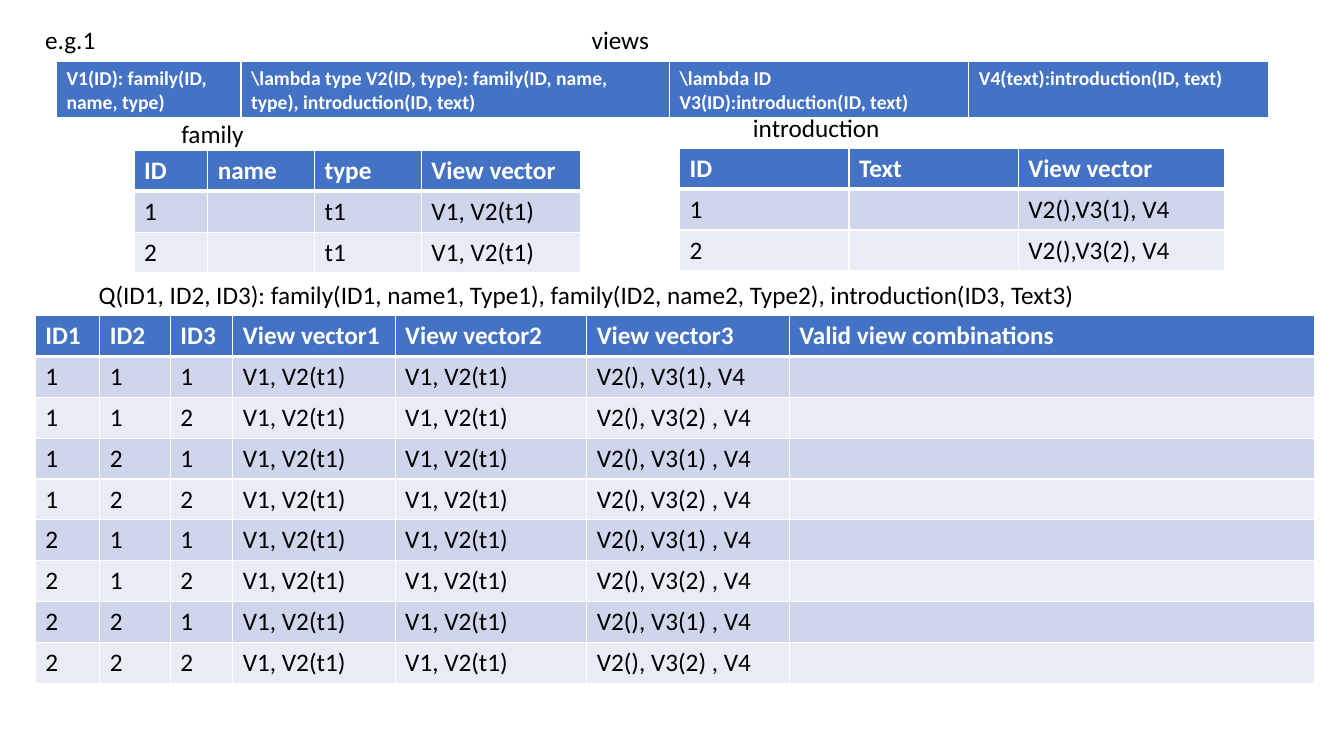
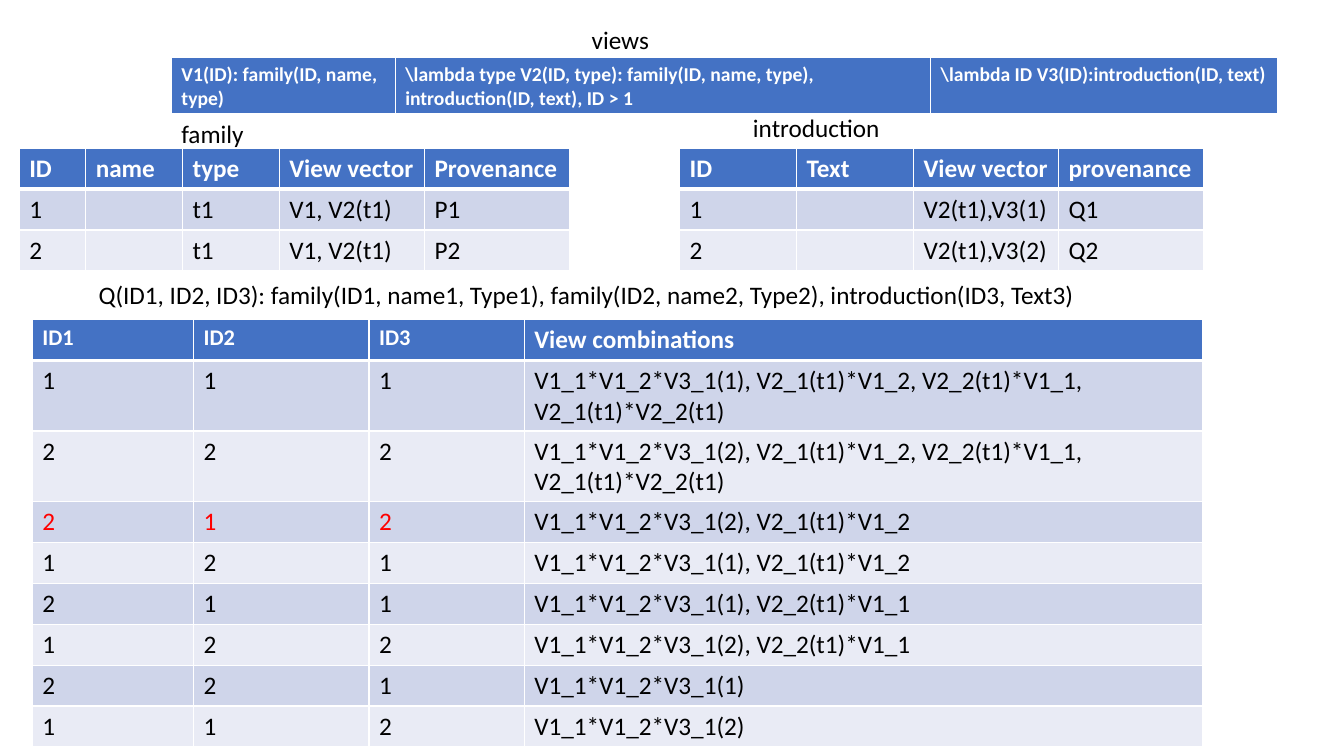
from dataclasses import dataclass
from itertools import product

from lxml.etree import SubElement
from pptx import Presentation
from pptx.dml.color import RGBColor as RGB
from pptx.enum.text import MSO_AUTO_SIZE as AutoSize
from pptx.oxml.ns import qn
from pptx.util import Inches, Pt


@dataclass(frozen=True)
class Theme:
    """Colours, font and type sizes shared by the slides."""
    header: str = "4472C4"
    bands: tuple = ("CFD5EA", "E9EBF5")
    white: str = "FFFFFF"
    ink: str = "000000"
    accent: str = "FF0000"
    font: str = "Calibri"
    body: int = 18
    small: int = 16
    view: int = 14
    rule: int = 1
    header_rule: int = 3


T = Theme()
QUERY = ("Q(ID1, ID2, ID3): family(ID1, name1, Type1), "
         "family(ID2, name2, Type2), introduction(ID3, Text3)")
LABELS = [
    ("family", (1.7, 1.12, 1.97, 0.4)),
    ("introduction", (7.37, 1.07, 1.97, 0.4)),
    (QUERY, (0.88, 2.72, 11.4, 0.4)),
    ("views", (5.77, 0.19, 2.75, 0.4)),
]
V1 = "V1(ID): family(ID, name, type)"
V2 = r"\lambda type V2(ID, type): family(ID, name, type), introduction(ID, text)"
V3 = r"\lambda ID V3(ID):introduction(ID, text)"
V4 = "V4(text):introduction(ID, text)"
FAMILY_VECTOR = "V1, V2(t1)"


def write(tf, text, size, color, bold=False):
    """Write one run of text in the theme font."""
    r = tf.paragraphs[0].add_run()
    r.text = text
    style = {"name": T.font, "size": Pt(size), "bold": bold}
    for name, value in style.items():
        setattr(r.font, name, value)
    r.font.color.rgb = RGB.from_string(color)


def add_label(slide, text, box):
    """Place a caption in the given box."""
    tf = slide.shapes.add_textbox(*map(Inches, box)).text_frame
    tf.word_wrap = True
    tf.auto_size = AutoSize.SHAPE_TO_FIT_TEXT
    write(tf, text, T.body, T.ink)


def add_captions(slide):
    """Place the captions common to both examples above the tables."""
    for text, box in LABELS:
        add_label(slide, text, box)


def set_borders(cell, top, bottom):
    """Draw white rules around a cell; widths are in points."""
    props = cell._tc.get_or_add_tcPr()
    widths = {"lnL": T.rule, "lnR": T.rule, "lnT": top, "lnB": bottom}
    for tag, width in widths.items():
        ln = SubElement(props, qn(f"a:{tag}"), w=str(Pt(width)))
        fill = SubElement(ln, qn("a:solidFill"))
        SubElement(fill, qn("a:srgbClr"), val=T.white)


def add_grid(slide, box, cols, rows, header_sizes=None, red_cells=()):
    """Place a table with a header row and alternating bands in the box."""
    table = slide.shapes.add_table(len(rows), len(cols), *map(Inches, box)).table
    sizes = header_sizes or [T.body] * len(cols)
    for column, width in zip(table.columns, cols):
        column.width = Inches(width)
    for i, row in enumerate(rows):
        table.rows[i].height = Inches(box[3] / len(rows))
        for j, text in enumerate(row):
            cell = table.cell(i, j)
            is_header = i == 0
            set_borders(cell, T.header_rule if i == 1 else T.rule,
                        T.header_rule if is_header else T.rule)
            cell.fill.solid()
            cell.fill.fore_color.rgb = RGB.from_string(
                T.header if is_header else T.bands[(i - 1) % 2])
            if not text:
                continue
            if is_header:
                write(cell.text_frame, text, sizes[j], T.white, True)
            else:
                color = T.accent if (i, j) in red_cells else T.ink
                write(cell.text_frame, text, T.body, color)


def add_views(slide, box, cols, views):
    """Place the one-row strip of view definitions."""
    add_grid(slide, box, cols, [views], [T.view] * len(cols))


def vector_slide(prs):
    """Build the example that lists view vectors for every ID combination."""
    slide = prs.slides.add_slide(prs.slide_layouts[6])
    add_views(slide, (0.56, 0.61, 12.02, 0.56), (1.83, 4.25, 2.97, 2.97),
              (V1, V2, V3, V4))
    add_grid(slide, (1.33, 1.49, 4.44, 1.22), (0.73, 1.06, 1.06, 1.58),
             [("ID", "name", "type", "View vector")]
             + [(n, "", "t1", FAMILY_VECTOR) for n in "12"])
    add_grid(slide, (6.74, 1.47, 5.41, 1.22), (1.68, 1.68, 2.05),
             [("ID", "Text", "View vector")]
             + [(n, "", f"V2(),V3({n}), V4") for n in "12"])

    rows = [("ID1", "ID2", "ID3", "View vector1", "View vector2",
             "View vector3", "Valid view combinations")]
    for k, ids in enumerate(product("12", repeat=3)):
        comma = " , " if k else ", "
        rows.append((*ids, FAMILY_VECTOR, FAMILY_VECTOR,
                     f"V2(), V3({ids[2]}){comma}V4", ""))
    add_grid(slide, (0.35, 3.13, 12.69, 3.65),
             (0.64, 0.7, 0.62, 1.61, 1.9, 2.01, 5.21), rows)
    add_captions(slide)
    add_label(slide, "e.g.1", (0.35, 0.19, 1.35, 0.4))


def combination_slide(prs):
    """Build the example that lists view combinations with provenance."""
    slide = prs.slides.add_slide(prs.slide_layouts[6])
    add_views(slide, (1.7, 0.57, 10.97, 0.56), (2.22, 5.31, 3.44),
              (V1, V2 + ", ID > 1", V3))
    add_grid(slide, (0.19, 1.47, 5.46, 1.22), (0.66, 0.96, 0.96, 1.44, 1.44),
             [("ID", "name", "type", "View vector", "Provenance")]
             + [(n, "", "t1", FAMILY_VECTOR, f"P{n}") for n in "12"])
    add_grid(slide, (6.74, 1.47, 5.2, 1.22), (1.16, 1.16, 1.44, 1.44),
             [("ID", "Text", "View vector", "provenance")]
             + [(n, "", f"V2(t1),V3({n})", f"Q{n}") for n in "12"])

    first, second = ", V2_1(t1)*V1_2", ", V2_2(t1)*V1_1"
    both = first + second + ", V2_1(t1)*V2_2(t1)"
    combos = [("111", both), ("222", both), ("212", first), ("121", first),
              ("211", second), ("122", second), ("221", ""), ("112", "")]
    rows = [("ID1", "ID2", "ID3", "View combinations")]
    rows += [(*ids, f"V1_1*V1_2*V3_1({ids[2]}){extra}") for ids, extra in combos]
    add_grid(slide, (0.32, 3.17, 11.61, 3.65), (1.6, 1.74, 1.54, 6.73), rows,
             header_sizes=[T.small] * 3 + [T.body],
             red_cells=[(3, j) for j in range(3)])
    add_captions(slide)


def main():
    """Build and save the presentation."""
    prs = Presentation()
    prs.slide_width, prs.slide_height = Inches(13.33), Inches(7.5)
    vector_slide(prs)
    combination_slide(prs)
    prs.save("out.pptx")


main()
